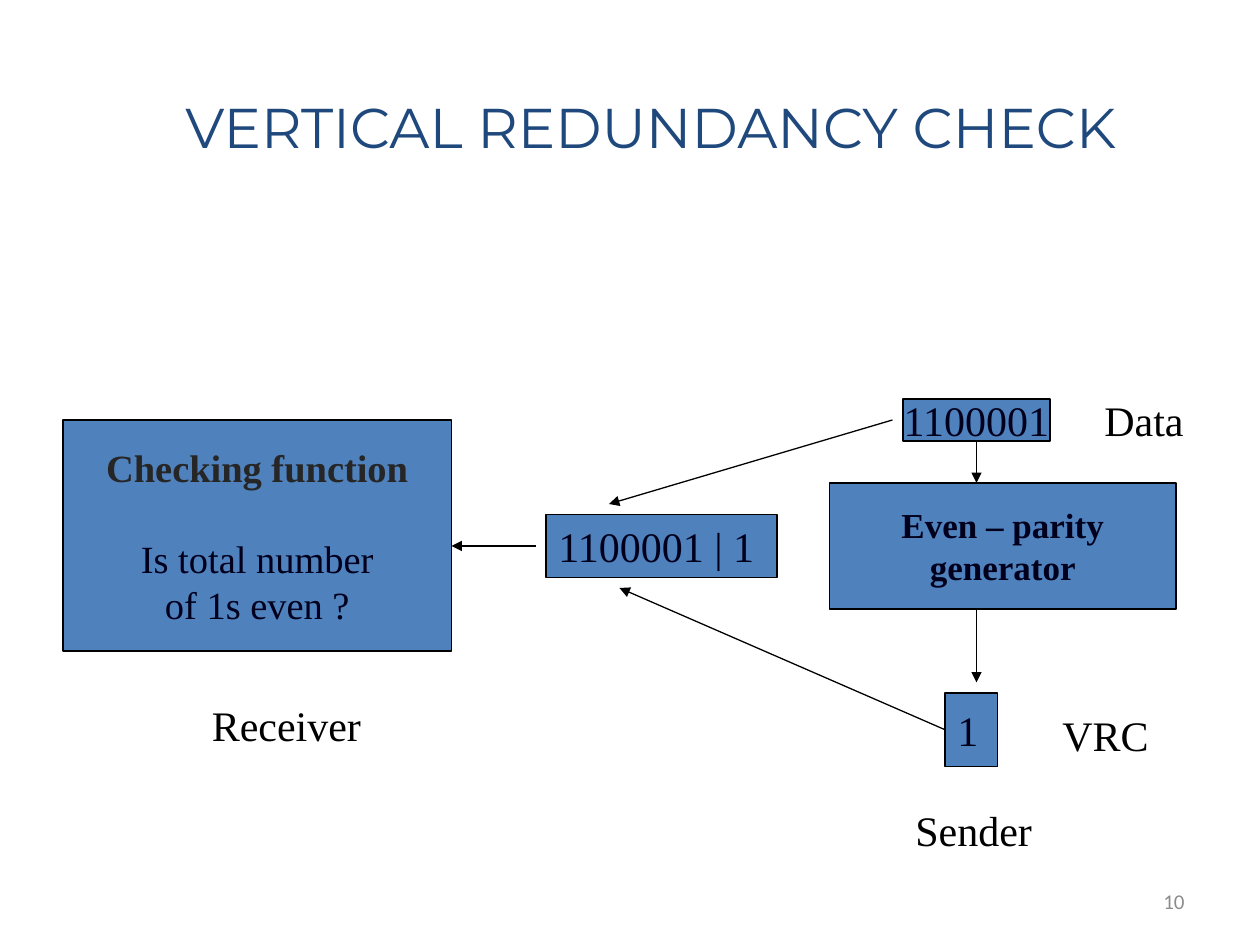
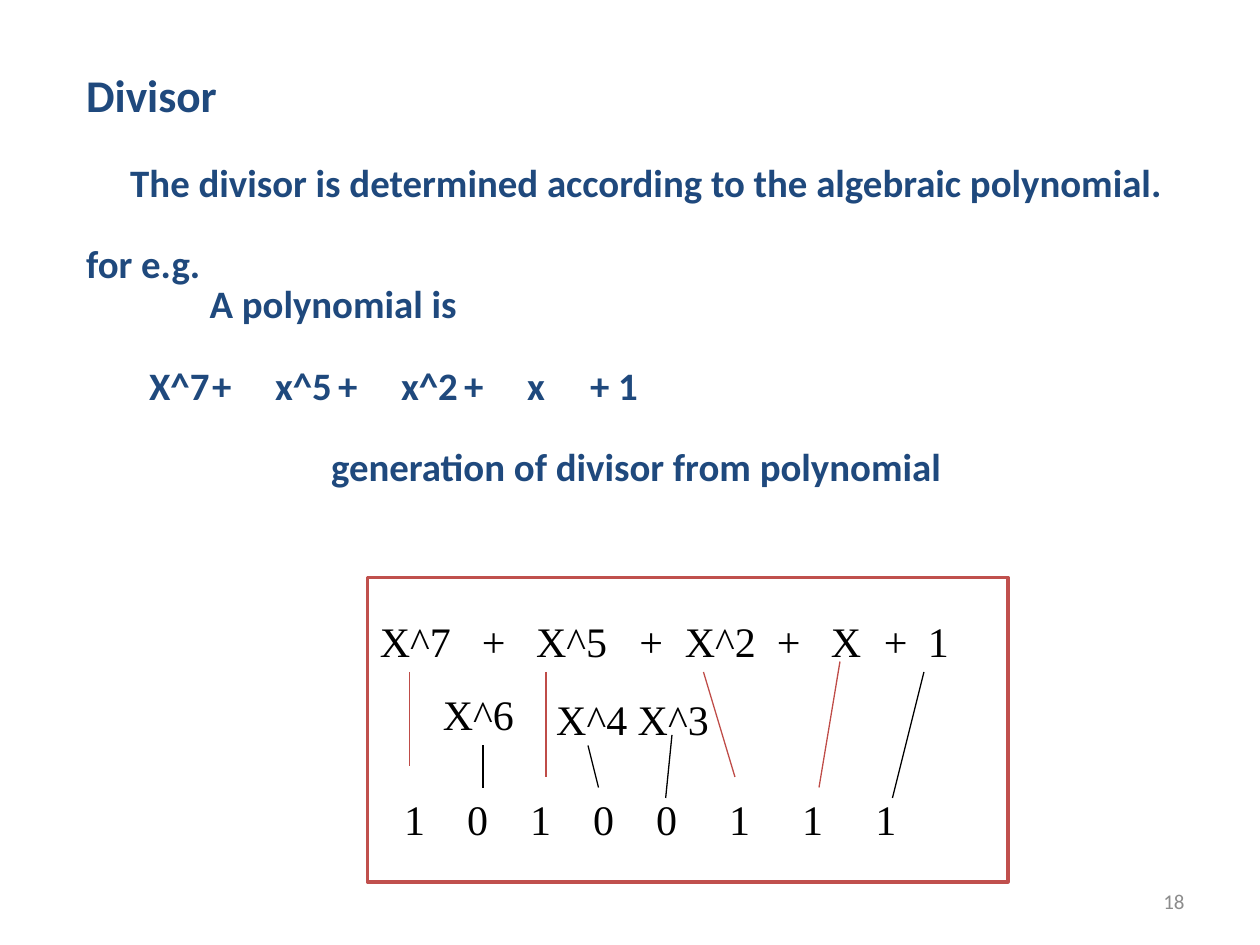
from pptx import Presentation
from pptx.dml.color import RGBColor
from pptx.enum.shapes import MSO_CONNECTOR, MSO_SHAPE
from pptx.enum.text import MSO_ANCHOR, MSO_AUTO_SIZE, PP_ALIGN
from pptx.oxml.ns import qn
from pptx.util import Inches, Pt
from lxml.etree import SubElement

NAVY, BLUE, INK = "1F497D", "4F81BD", "00001C"
BLACK, WHITE, DARK, GRAY = "000000", "FFFFFF", "262626", "8C8C8C"
RED, LINE_RED = "C0504D", "BF4C48"
SERIF, SANS, DISPLAY = "Times New Roman", "Calibri", "Montserrat"
CELLS_PER_INCH = 12
BODY_SIZE = 22.2
TIGHT = 0.7


def color(value):
    return RGBColor.from_string(value)


def grid(*cells):
    return [Inches(cell / CELLS_PER_INCH) for cell in cells]


def style(paragraph, size, value, name=SERIF, bold=False, align=PP_ALIGN.LEFT):
    paragraph.alignment = align
    font = paragraph.font
    font.size, font.name, font.bold = Pt(size), name, bold
    font.color.rgb = color(value)


def set_tabs(paragraph, stops):
    tabs = SubElement(paragraph._p.get_or_add_pPr(), qn("a:tabLst"))
    for stop in stops:
        SubElement(tabs, qn("a:tab"), pos=str(Inches(stop)), algn="l")


def place(shape, cells):
    shape.left, shape.top, shape.width, shape.height = grid(*cells)


def add_label(page, text, cells, stops=(), wrap=True):
    box = page.shapes.add_textbox(*grid(*cells))
    box.text_frame.word_wrap = wrap
    paragraph = box.text_frame.paragraphs[0]
    paragraph.text = text
    if stops:
        set_tabs(paragraph, stops)
    style(paragraph, 24, BLACK)


def add_page_number(page, number):
    box = page.shapes.add_textbox(*grid(86, 83.4, 28, 4.8))
    box.text_frame.vertical_anchor = MSO_ANCHOR.MIDDLE
    box.text_frame.word_wrap = True
    paragraph = box.text_frame.paragraphs[0]
    paragraph.text = str(number)
    style(paragraph, 12, GRAY, SANS, align=PP_ALIGN.RIGHT)


def add_block(page, cells, fill=BLUE, line=BLACK, width=0.75):
    block = page.shapes.add_shape(MSO_SHAPE.RECTANGLE, *grid(*cells))
    block.shadow.inherit = False
    block.fill.solid()
    block.fill.fore_color.rgb = color(fill)
    block.line.color.rgb = color(line)
    block.line.width = Pt(width)
    return block


def write_block(block, lines, size, bold=False, align=PP_ALIGN.CENTER):
    frame = block.text_frame
    frame.word_wrap = False
    frame.vertical_anchor = MSO_ANCHOR.MIDDLE
    frame.text = "\n".join(lines)
    for paragraph in frame.paragraphs:
        style(paragraph, size, INK, bold=bold, align=align)
    return frame.paragraphs


def add_line(page, start, end, value=BLACK, arrow=False):
    connector = page.shapes.add_connector(
        MSO_CONNECTOR.STRAIGHT, *grid(*start, *end))
    connector.line.color.rgb = color(value)
    connector.line.width = Pt(0.75)
    if arrow:
        SubElement(connector.line._get_or_add_ln(), qn("a:tailEnd"), type="triangle")
    SubElement(connector._element.spPr, qn("a:effectLst"))
    return connector


def set_title(page, text, cells, size, name, bold, align, anchor):
    title = page.shapes.title
    place(title, cells)
    frame = title.text_frame
    frame.text = text
    frame.auto_size = MSO_AUTO_SIZE.NONE
    frame.vertical_anchor = anchor
    style(frame.paragraphs[0], size, NAVY, name, bold, align)
    return frame.paragraphs[0]


def fill_body(body, cells, entries):
    place(body, cells)
    frame = body.text_frame
    frame.auto_size = MSO_AUTO_SIZE.NONE
    frame.margin_right = 0
    frame.text = "\n".join(entry[0] for entry in entries)
    for paragraph, (_, indent, gap, stops, align) in zip(frame.paragraphs, entries):
        properties = paragraph._p.get_or_add_pPr()
        properties.set("marL", str(Inches(indent)))
        properties.set("indent", "0")
        SubElement(properties, qn("a:buNone"))
        if stops:
            set_tabs(paragraph, stops)
        paragraph.line_spacing = TIGHT
        paragraph.space_before = Pt(gap)
        style(paragraph, BODY_SIZE, NAVY, SANS, True, align)


def build_parity_page(deck):
    page = deck.slides.add_slide(deck.slide_layouts[5])
    set_title(page, "VERTICAL REDUNDANCY CHECK", (11, 8.2, 102, 7.7), 32,
              DISPLAY, False, PP_ALIGN.CENTER, MSO_ANCHOR.MIDDLE)

    checker = add_block(page, (6, 40, 37, 22))
    heading, question, _ = write_block(
        checker, ["Checking function", "Is total number", "of 1s even ?"], 22)
    heading.font.bold = True
    heading.font.color.rgb = color(DARK)
    question.space_before = Pt(26)

    packet = add_block(page, (52, 49, 22, 6))
    write_block(packet, ["1100001 | 1"], 24, align=PP_ALIGN.LEFT)
    generator = add_block(page, (79, 46, 33, 12))
    write_block(generator, ["Even – parity", "generator"], 20, bold=True)
    data = add_block(page, (86, 38, 14, 4))
    write_block(data, ["1100001"], 24)
    parity_bit = add_block(page, (90, 66, 5, 7))
    write_block(parity_bit, ["1"], 24, align=PP_ALIGN.LEFT)

    add_line(page, (51, 52), (43, 52), arrow=True)
    add_line(page, (93, 42), (93, 46), arrow=True).begin_connect(data, 2)
    add_line(page, (93, 58), (93, 65), arrow=True)
    add_line(page, (90, 70), (59, 56), arrow=True).begin_connect(parity_bit, 1)
    add_line(page, (85, 40), (58, 48), arrow=True)

    for text, cells in (("Receiver", (19, 66, 17, 6)), ("Data", (104, 37, 12, 6)),
                        ("VRC", (100, 67, 12, 6)), ("Sender", (86, 76, 22, 6))):
        add_label(page, text, cells)
    add_page_number(page, 10)


def build_divisor_page(deck):
    page = deck.slides.add_slide(deck.slide_layouts[1])
    title = set_title(page, "Divisor", (7, 7.2, 105, 6), 25.9, SANS, True,
                      PP_ALIGN.LEFT, MSO_ANCHOR.TOP)
    title.line_spacing = TIGHT

    near, far = 4.4, 27.8
    left, center = PP_ALIGN.LEFT, PP_ALIGN.CENTER
    polynomial_stops = (1.05, 1.73, 2.03, 2.84, 3.12, 3.99, 4.28, 4.57)
    fill_body(page.placeholders[1], (7, 15.7, 106, 35), [
        ("The divisor is determined according to the algebraic polynomial.",
         0.35, 0, (), left),
        ("for e.g.", 0, far, (), left),
        ("A polynomial is", 0.98, near, (), left),
        ("\tX^7\t+\tx^5\t+\tx^2\t+\tx\t+ 1", 0, far, polynomial_stops, left),
        ("generation of divisor from polynomial", 0, far, (), center),
    ])
    add_page_number(page, 18)

    add_block(page, (35, 55, 61, 29), WHITE, RED, 2)
    add_label(page, "X^7\t+\tX^5\t+\tX^2\t+\tX\t+\t1", (35, 58, 58, 6),
              (0.81, 1.24, 2.06, 2.42, 3.15, 3.58, 4, 4.35))
    digit_stops = [0.5 * i for i in range(1, 5)] + [2 + 0.58 * i for i in range(1, 4)]
    add_label(page, "\t".join("10100111"), (37.3, 75, 52, 6), digit_stops)
    add_label(page, "X^4 X^3", (51.8, 65.5, 17, 6), wrap=False)
    add_label(page, "X^6", (41, 65, 12, 6))

    present_terms = [((80, 63), (78, 75)), ((67, 64), (70, 74)),
                     ((52, 64), (52, 74)), ((39, 64), (39, 73))]
    other_terms = [((88, 64), (85, 76)), ((46, 71), (46, 75)),
                   ((56, 71), (57, 75)), ((64, 70), (63.4, 76))]
    for links, value in ((present_terms, LINE_RED), (other_terms, BLACK)):
        for start, end in links:
            add_line(page, start, end, value)


def main():
    deck = Presentation()
    deck.slide_width, deck.slide_height = Inches(10), Inches(7.5)
    build_parity_page(deck)
    build_divisor_page(deck)
    deck.save("out.pptx")


if __name__ == "__main__":
    main()
